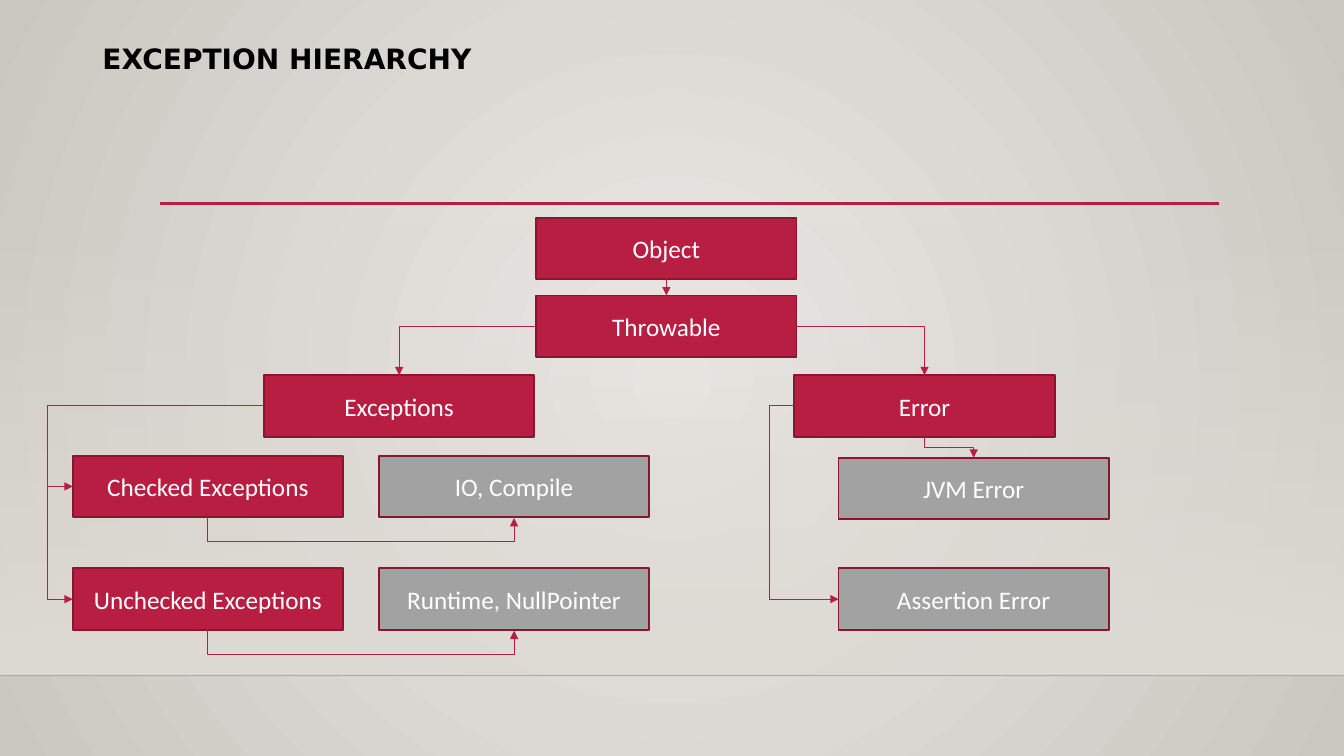
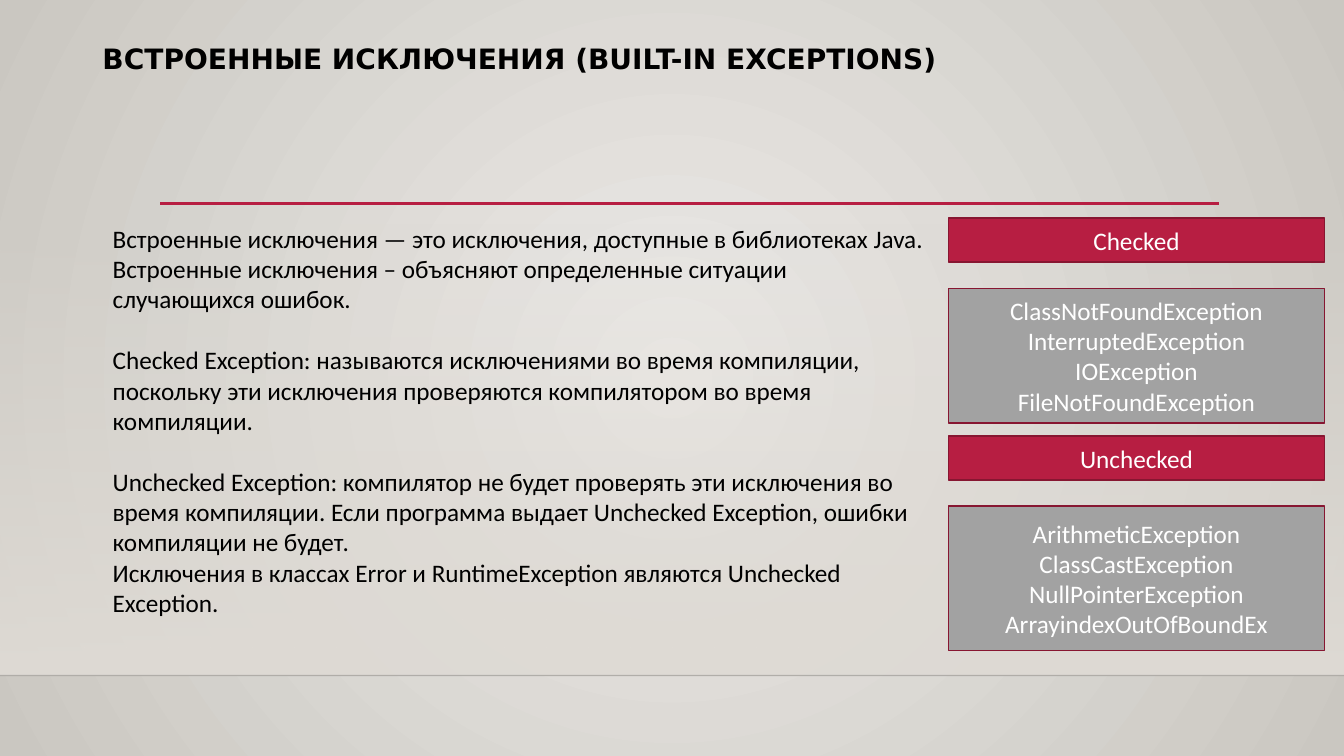
from pptx import Presentation
from pptx.dml.color import RGBColor
from pptx.enum.shapes import MSO_CONNECTOR, MSO_SHAPE
from pptx.enum.text import MSO_ANCHOR, MSO_AUTO_SIZE, PP_ALIGN
from pptx.oxml import parse_xml
from pptx.oxml.ns import nsdecls, qn
from pptx.util import Pt
from lxml.etree import SubElement

WIDE, HIGH = 960, 540
RED, EDGE, GREY = "B71E42", "871631", "A2A2A2"
BLACK, WHITE, SAND = "000000", "FFFFFF", "DFDBD5"
TOP, LEFT, BOTTOM, RIGHT = range(4)


def color(code):
    return RGBColor.from_string(code)


def write(frame, text, font="Calibri", size=18, ink=BLACK, bold=False,
          align=PP_ALIGN.LEFT, anchor=MSO_ANCHOR.TOP, lead=None, gaps=()):
    """Fill a frame, one paragraph a line; those in gaps get a line of space above."""
    frame.word_wrap = True
    frame.vertical_anchor = anchor
    for i, line in enumerate(text.split("\n")):
        para = frame.paragraphs[0] if i == 0 else frame.add_paragraph()
        para.alignment = align
        if lead:
            para.line_spacing = lead
        if i in gaps:
            para.space_before = Pt(size * 1.22)
        run = para.add_run()
        run.text = line
        run.font.name, run.font.size, run.font.bold = font, Pt(size), bold
        run.font.color.rgb = color(ink)


def blend(stops, shade):
    """Gradient fill from (position, colour, alpha) stops in percent."""
    marks = "".join(
        f'<a:gs pos="{pos * 1000}"><a:srgbClr val="{code}">'
        f'<a:alpha val="{alpha * 1000}"/></a:srgbClr></a:gs>'
        for pos, code, alpha in stops)
    return parse_xml(f'<a:gradFill {nsdecls("a")} rotWithShape="1">'
                     f'<a:gsLst>{marks}</a:gsLst>{shade}</a:gradFill>')


def swap(fill, parent, grad):
    """Replace a plain fill by a gradient."""
    fill.solid()
    old = parent.find(qn("a:solidFill"))
    parent.replace(old, grad)


class Deck:
    def __init__(self):
        self.prs = Presentation()
        self.prs.slide_width, self.prs.slide_height = Pt(WIDE), Pt(HIGH)
        # Shared background
        ground = self.prs.slide_master.background.fill
        ground.solid()
        props = self.prs.slide_master.element.cSld.find(qn("p:bg")).find(qn("p:bgPr"))
        swap(ground, props, blend(
            [(0, "ECEAE7", 100), (100, "CAC7C1", 100)],
            '<a:path path="circle"><a:fillToRect l="50000" t="50000" '
            'r="50000" b="50000"/></a:path>'))

    def start(self, title):
        """New slide with band, rules and title."""
        self.slide = self.prs.slides.add_slide(self.prs.slide_layouts[5])
        self.shapes = self.slide.shapes
        band = self.rect(0, 159, WIDE, 323.5, SAND, None)
        swap(band.fill, band.element.spPr, blend(
            [(0, SAND, 0), (100, SAND, 100)], '<a:lin ang="5400000" scaled="0"/>'))
        self.rule(0, 482.5, WIDE, BLACK, 1, alpha=20)
        self.rule(114.5, 145.3, 871, RED, 2.5)
        head = self.shapes.title
        head.left, head.top, head.width, head.height = Pt(66), Pt(29), Pt(820), Pt(44)
        head.text_frame.auto_size = MSO_AUTO_SIZE.NONE
        write(head.text_frame, title, font="DejaVu Sans", size=20, bold=True, lead=0.9)

    def rect(self, x, y, w, h, fill, edge=EDGE):
        box = self.shapes.add_shape(MSO_SHAPE.RECTANGLE, Pt(x), Pt(y), Pt(w), Pt(h))
        box.shadow.inherit = False
        box.fill.solid()
        box.fill.fore_color.rgb = color(fill)
        if edge:
            box.line.color.rgb = color(edge)
            box.line.width = Pt(1.25)
        else:
            box.line.fill.background()
        return box

    def box(self, text, x, y, w, h, fill=RED):
        box = self.rect(x, y, w, h, fill)
        write(box.text_frame, text, ink=WHITE, align=PP_ALIGN.CENTER,
              anchor=MSO_ANCHOR.MIDDLE)
        return box

    def body(self, text, x, y, w, h, **fmt):
        area = self.shapes.add_textbox(Pt(x), Pt(y), Pt(w), Pt(h))
        write(area.text_frame, text, **fmt)

    def line(self, kind, ends, ink, width):
        line = self.shapes.add_connector(kind, *(Pt(v) for v in ends))
        line.line.color.rgb = color(ink)
        line.line.width = Pt(width)
        SubElement(line.element.spPr, qn("a:effectLst"))
        return line

    def rule(self, x, y, end, ink, width, alpha=None):
        line = self.line(MSO_CONNECTOR.STRAIGHT, (x, y, end, y), ink, width)
        if alpha:
            tint = line.element.spPr.find(".//" + qn("a:srgbClr"))
            SubElement(tint, qn("a:alpha"), val=str(alpha * 1000))

    def link(self, a, side, b, goal, kind=MSO_CONNECTOR.ELBOW):
        """Arrow joining a side of one box to a side of another."""
        line = self.line(kind, (0, 0, 0, 0), RED, 0.75)
        line.begin_connect(a, side)
        line.end_connect(b, goal)
        SubElement(line.element.spPr.find(qn("a:ln")), qn("a:tailEnd"), type="triangle")
        return line

    def bend(self, a, side, b, goal, out=None):
        """Elbow arrow; out is how far it leaves before turning, None for one turn."""
        line = self.link(a, side, b, goal)
        dx, dy = line.end_x - line.begin_x, line.end_y - line.begin_y
        mid_x, mid_y = line.begin_x + dx // 2, line.begin_y + dy // 2
        wide, high = abs(dx), abs(dy)
        turn, flips = 0, []
        if side == LEFT:
            turn, flips = 180, ["flipV"] + ["flipH"] * (dx > 0)
        elif side == BOTTOM:
            turn, flips = 270, ["flipH"]
            wide, high = max(high, Pt(1)), wide
        # Frame before turning
        line.left, line.top = mid_x - wide // 2, mid_y - high // 2
        line.width, line.height = wide, high
        frame = line.element.spPr.xfrm
        for name in ("flipH", "flipV"):
            frame.set(name, str(int(name in flips)))
        frame.set("rot", str(turn * 60000))
        # Number and place of turns
        geom = line.element.spPr.find(qn("a:prstGeom"))
        if out is None:
            geom.set("prst", "bentConnector2")
            return
        sign = -1 if side == LEFT and dx > 0 else 1
        part = round(sign * Pt(out) / wide * 100000)
        marks = geom.find(qn("a:avLst"))
        if marks is None:
            marks = SubElement(geom, qn("a:avLst"))
        SubElement(marks, qn("a:gd"), name="adj1", fmla=f"val {part}")


def tree(deck):
    deck.start("EXCEPTION HIERARCHY")
    slim, broad, tall, lane = 186, 193, 44, 18
    near, next_x, far = 52, 270.7, 599
    row, last = 325.5, 406

    # Boxes
    root = deck.box("Object", 383, 155.5, slim, tall)
    throw = deck.box("Throwable", 383, 211, slim, tall)
    exc = deck.box("Exceptions", 188.6, 268, broad, tall)
    err = deck.box("Error", 567.4, 268, slim, tall)
    check = deck.box("Checked Exceptions", near, row, broad, tall)
    free = deck.box("Unchecked Exceptions", near, last, broad, tall)
    comp = deck.box("IO, Compile", next_x, row, broad, tall, GREY)
    null = deck.box("Runtime, NullPointer", next_x, last, broad, tall, GREY)
    jvm = deck.box("JVM Error", far, 327, broad, tall, GREY)
    fail = deck.box("Assertion Error", far, last, broad, tall, GREY)

    # Arrows
    deck.link(root, BOTTOM, throw, TOP, MSO_CONNECTOR.STRAIGHT)
    deck.bend(throw, LEFT, exc, TOP)
    deck.bend(throw, RIGHT, err, TOP)
    deck.bend(err, BOTTOM, jvm, TOP, out=7.5)
    deck.bend(err, LEFT, fail, LEFT, out=lane)
    for kid in (check, free):
        deck.bend(exc, LEFT, kid, LEFT, out=188.6 - near + lane)
    for a, b in ((check, comp), (free, null)):
        deck.bend(a, BOTTOM, b, BOTTOM, out=lane)


def built(deck):
    deck.start("ВСТРОЕННЫЕ ИСКЛЮЧЕНИЯ (BUILT-IN EXCEPTIONS)")
    deck.body(
        "Встроенные исключения — это исключения, доступные в библиотеках Java.\n"
        "Встроенные исключения – объясняют определенные ситуации случающихся ошибок.\n"
        "Checked Exception: называются исключениями во время компиляции, поскольку "
        "эти исключения проверяются компилятором во время компиляции.\n"
        "Unchecked Exception: компилятор не будет проверять эти исключения во время "
        "компиляции. Если программа выдает Unchecked Exception, ошибки компиляции "
        "не будет.\n"
        "Исключения в классах Error и RuntimeException являются Unchecked Exception.",
        73.4, 156, 594, 312.5, gaps=(2, 3))

    # Two groups: heading above its list
    groups = (
        ("Checked", 156, 96, "ClassNotFoundException\nInterruptedException\n"
                             "IOException\nFileNotFoundException"),
        ("Unchecked", 311.7, 103, "ArithmeticException\nClassCastException\n"
                                  "NullPointerException\nArrayindexOutOfBoundEx"),
    )
    for head, y, h, names in groups:
        deck.box(head, 677.5, y, 268.6, 31)
        deck.box(names, 677.5, y + 50, 268.6, h, GREY)


def main():
    deck = Deck()
    tree(deck)
    built(deck)
    deck.prs.save("out.pptx")


if __name__ == "__main__":
    main()
